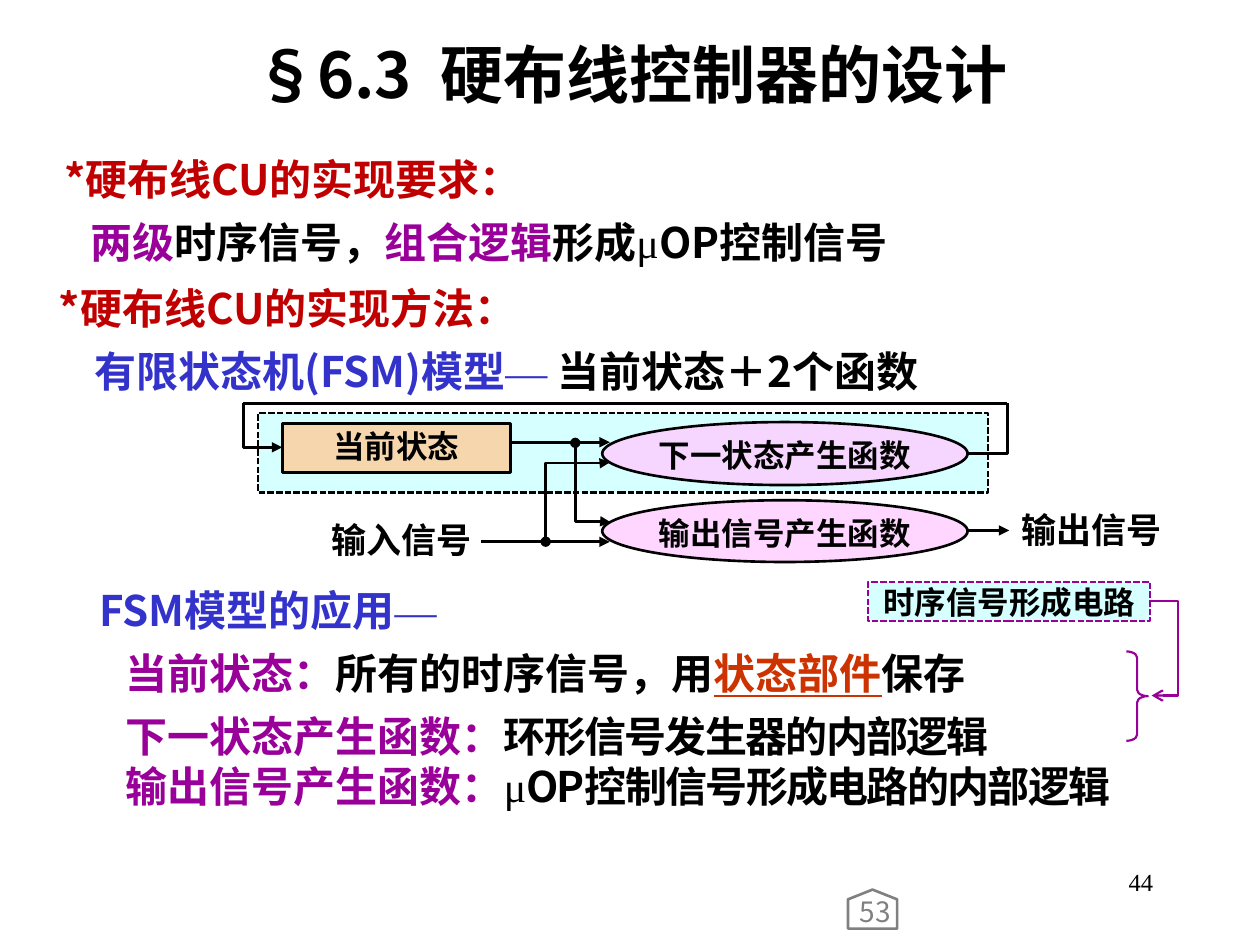
from lxml import etree
from pptx import Presentation
from pptx import util as u
from pptx.dml.color import RGBColor
from pptx.enum import dml, shapes, text
from pptx.oxml.ns import qn

SANS, SERIF = "Noto Sans CJK SC", "Times New Roman"
BLACK, RED, BLUE, PURPLE = "000000", "C00000", "3333CC", "990099"
ORANGE, GREY = "CC3300", "808080"
CYAN, PEACH, PINK = "CCFFFF", "FFCC99", "FFCCFF"
COLUMNS, ROWS = 100, 75
INDENT_STEP = 0.07
SHAPE = shapes.MSO_SHAPE
ALIGN = text.PP_ALIGN
TOP, MIDDLE = text.MSO_ANCHOR.TOP, text.MSO_ANCHOR.MIDDLE
TIGHT = (0.02, 0.01, 0.02, 0.01)
NORMAL = (0.1, 0.05, 0.1, 0.05)
OVAL_INSETS = (0, 0.04, 0, 0.04)


def color(value):
    return RGBColor.from_string(value)


def run(words, ink=BLACK, font=SANS, bold=True, underline=False, spacing=0):
    return words, ink, font, bold, underline, spacing


def para(*runs, indent=0, leading=1.25):
    return runs, indent, leading


class Board:
    def __init__(self, deck):
        self.deck = deck
        self.slide = deck.slides.add_slide(deck.slide_layouts[6])

    def place(self, left, top, width, height):
        across, down = self.deck.slide_width / COLUMNS, self.deck.slide_height / ROWS
        return [round(n * unit) for n, unit in
                zip((left, top, width, height), (across, down, across, down))]

    def fill_frame(self, frame, paragraphs, size, align=ALIGN.LEFT, anchor=TOP,
                   insets=NORMAL):
        frame.word_wrap = True
        frame.vertical_anchor = anchor
        (frame.margin_left, frame.margin_top,
         frame.margin_right, frame.margin_bottom) = map(u.Inches, insets)
        for number, (runs, indent, leading) in enumerate(paragraphs):
            line = frame.add_paragraph() if number else frame.paragraphs[0]
            line.alignment = align
            line.line_spacing = leading
            line._p.get_or_add_pPr().set("marL", str(u.Inches(indent * INDENT_STEP)))
            for words, ink, font, bold, underline, spacing in runs:
                piece = line.add_run()
                piece.text = words
                piece.font.size = u.Pt(size)
                piece.font.name = font
                piece.font.bold = bold
                piece.font.underline = underline
                piece.font.color.rgb = color(ink)
                props = piece._r.get_or_add_rPr()
                etree.SubElement(props, qn("a:ea")).set("typeface", font)
                if spacing:
                    props.set("spc", str(spacing * 100))

    def label(self, box, paragraphs, size, **style):
        frame = self.slide.shapes.add_textbox(*self.place(*box)).text_frame
        self.fill_frame(frame, paragraphs, size, **style)

    def shape(self, kind, box, fill=None, ink=BLACK, weight=1.5, dashed=False):
        item = self.slide.shapes.add_shape(kind, *self.place(*box))
        item.shadow.inherit = False
        if fill:
            item.fill.solid()
            item.fill.fore_color.rgb = color(fill)
            tint = item._element.spPr.find(qn("a:solidFill"))[0]
            etree.SubElement(tint, qn("a:alpha")).set("val", "80000")
        else:
            item.fill.background()
        item.line.color.rgb = color(ink)
        item.line.width = u.Pt(weight)
        if dashed:
            item.line.dash_style = dml.MSO_LINE.SQUARE_DOT
        return item

    def node(self, kind, box, words, leading=1.0, anchor=MIDDLE, insets=TIGHT, **look):
        item = self.shape(kind, box, **look)
        self.fill_frame(item.text_frame, [para(run(words), leading=leading)], 18,
                        align=ALIGN.CENTER, anchor=anchor, insets=insets)

    def wire(self, box, ink=BLACK, weight=1.5, head=None, tail=None,
             bend=None, turn=0, flips="", adjust=()):
        left, top, width, height = self.place(*box)
        kind = shapes.MSO_CONNECTOR.ELBOW if bend else shapes.MSO_CONNECTOR.STRAIGHT
        link = self.slide.shapes.add_connector(kind, left, top, left + width, top + height)
        link.line.color.rgb = color(ink)
        link.line.width = u.Pt(weight)
        props = link._element.spPr
        if bend:
            frame, preset = props.find(qn("a:xfrm")), props.find(qn("a:prstGeom"))
            frame.set("rot", str(turn * 60000))
            for flip in flips:
                frame.set("flip" + flip, "1")
            preset.set("prst", f"bentConnector{bend}")
            for number, share in enumerate(adjust, 1):
                guide = etree.SubElement(preset.find(qn("a:avLst")), qn("a:gd"))
                guide.set("name", f"adj{number}")
                guide.set("fmla", f"val {round(share * 100000)}")
        for end, style in (("a:headEnd", head), ("a:tailEnd", tail)):
            if style:
                etree.SubElement(props.find(qn("a:ln")), qn(end)).set("type", style)
        etree.SubElement(props, qn("a:effectLst"))


def dash(words="—"):
    return run(words, BLUE, SERIF, bold=False)


def draw_text(board):
    board.label((71.7, 68.3, 20.8, 5), [para(run("44", font=SERIF, bold=False), leading=1.0)],
                14, align=ALIGN.RIGHT)
    board.label((9.2, 2.3, 81.7, 7),
                [para(run("§6.3"), run(" ", spacing=8), run("硬布线控制器的设计"), leading=1.0)],
                36, align=ALIGN.CENTER)
    mu = run("μ", font=SERIF, bold=False)
    board.label((2, 10.7, 96.1, 11.1), [
        para(run("*硬布线CU的实现要求：", RED), indent=3),
        para(run("两级", PURPLE), run("时序信号，"), run("组合逻辑", PURPLE), run("形成"),
             mu, run("OP控制信号"), indent=6)], 24)
    board.label((1.6, 20.9, 96.1, 11.1), [
        para(run("*硬布线CU的实现方法：", RED), indent=3),
        para(run("有限状态机(FSM)模型", BLUE), dash("— "), run("当前状态＋2个函数"),
             indent=7)], 24)
    board.label((2, 44.9, 96.1, 20.2), [
        para(run("FSM模型的应用", BLUE), dash(), indent=7),
        para(run("当前状态：", PURPLE), run("所有的时序信号，用"),
             run("状态部件", ORANGE, underline=True), run("保存"), indent=10),
        para(run("下一状态产生函数：", PURPLE), run("环形信号发生器的内部逻辑", spacing=-1),
             indent=10),
        para(run("输出信号产生函数：", PURPLE), mu,
             run("OP控制信号形成电路的内部逻辑", spacing=-1), indent=10, leading=1.0)], 24)


def draw_state_machine(board):
    board.shape(SHAPE.RECTANGLE, (20.5, 32.8, 57.9, 6.3), CYAN, weight=1.25, dashed=True)
    board.node(SHAPE.RECTANGLE, (22.4, 33.6, 18.1, 3.9), "当前状态", leading=0.9, fill=PEACH)
    for words, top, height in (("下一状态产生函数", 33.5, 5), ("输出信号产生函数", 39.7, 4.9)):
        board.node(SHAPE.OVAL, (47.8, top, 29, height), words, anchor=TOP,
                   insets=OVAL_INSETS, fill=PINK)
    for words, box in (("输入信号", (25.6, 41.1, 12.6, 3.5)),
                       ("输出信号", (79.9, 40.3, 13.5, 3.5))):
        board.label(box, [para(run(words), leading=1.0)], 20, align=ALIGN.CENTER,
                    anchor=MIDDLE, insets=TIGHT)
    for left, top, width in ((40.6, 35.1, 7.8), (38.2, 43, 10.2), (76.8, 42.1, 3.3)):
        board.wire((left, top, width, 0), tail="triangle")
    board.wire((43.9, 36.9, 6.3, 2.8), head="oval", tail="triangle",
               bend=3, turn=270, flips="H", adjust=[0.99])
    board.wire((42.7, 37.3, 6.3, 5.1), head="oval", tail="triangle",
               bend=3, turn=90, flips="HV", adjust=[0.99])
    board.wire((76.8, 32, 3.15, 4), bend=2, flips="V")
    board.wire((19.3, 32, 60.65, 0))
    board.wire((19.1, 32.2, 3.5, 3.1), tail="triangle", bend=2, turn=270, flips="H")


def draw_timing_circuit(board):
    brace = board.shape(SHAPE.RIGHT_BRACE, (89.4, 51.7, 1.7, 7.1), ink=PURPLE, weight=1.25)
    brace.adjustments[0] = 0.29
    board.node(SHAPE.RECTANGLE, (68.9, 46.2, 22.4, 3.1), "时序信号形成电路", insets=NORMAL,
               fill=CYAN, ink=PURPLE, weight=1.25, dashed=True)
    board.wire((91.3, 47.7, 0.1, 7.5), ink=PURPLE, weight=1.25, tail="arrow",
               bend=4, adjust=[22, 1])


def draw_home_mark(board):
    house = board.shape(SHAPE.PENTAGON, (67.7, 70.2, 3.1, 3.9), ink=GREY)
    house.adjustments[0] = 0.25
    house.rotation = 270
    board.label((67.7, 71.4, 3.1, 2.4), [para(run("53", GREY, bold=False), leading=0.85)],
                16, align=ALIGN.CENTER, insets=(0.04, 0, 0, 0))


def main():
    deck = Presentation()
    deck.slide_width, deck.slide_height = u.Inches(10), u.Inches(7.5)
    board = Board(deck)
    draw_text(board)
    draw_state_machine(board)
    draw_timing_circuit(board)
    draw_home_mark(board)
    deck.save("out.pptx")


if __name__ == "__main__":
    main()
